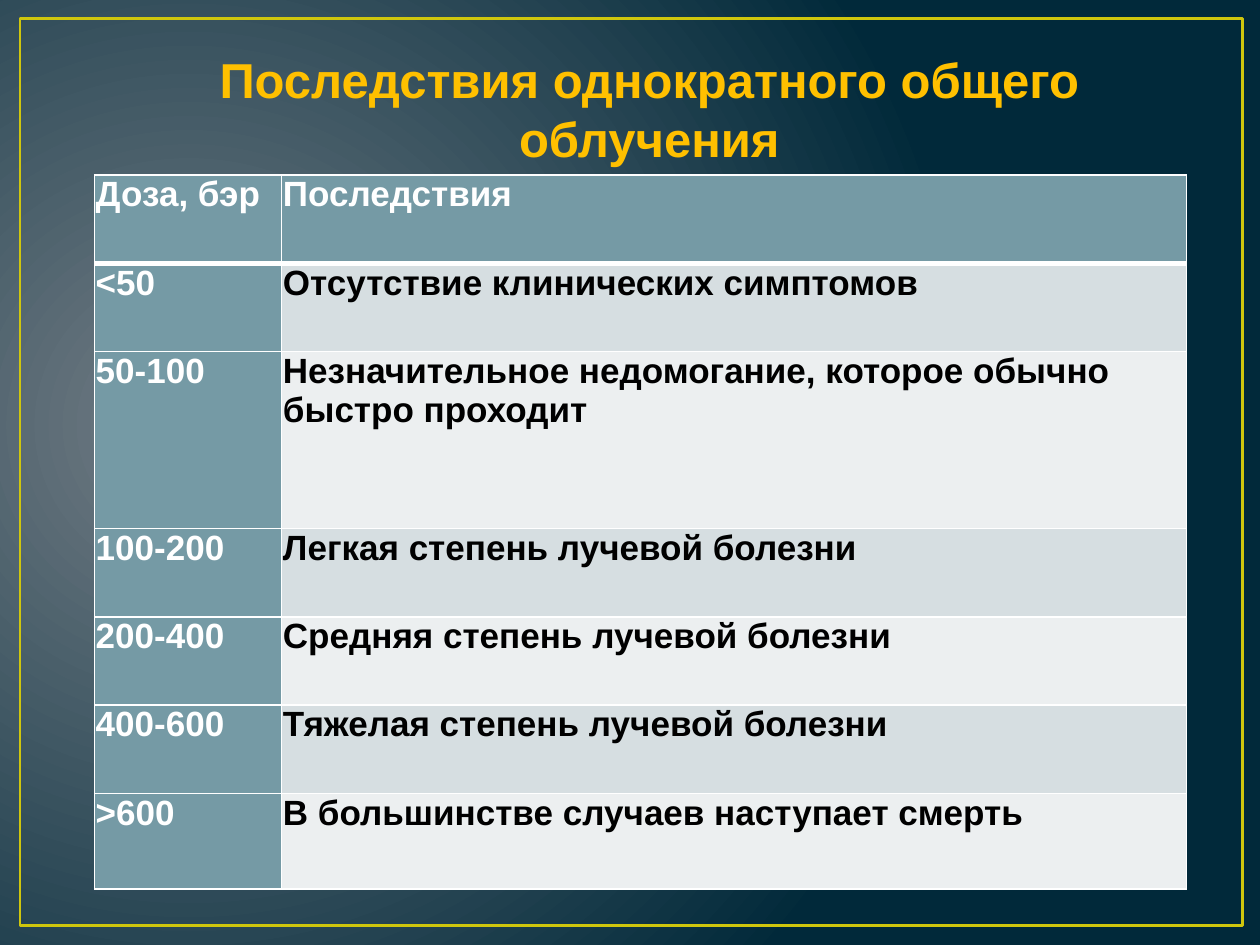
from lxml import etree
from pptx import Presentation
from pptx.dml.color import RGBColor
from pptx.enum.shapes import MSO_SHAPE
from pptx.enum.text import MSO_ANCHOR, MSO_AUTO_SIZE, PP_ALIGN
from pptx.oxml.ns import qn
from pptx.util import Pt

RECTANGLE = MSO_SHAPE.RECTANGLE
TOP = MSO_ANCHOR.TOP
NO_AUTOFIT = MSO_AUTO_SIZE.NONE
CENTER = PP_ALIGN.CENTER
TITLE_ONLY = 5

COLORS = {
    "glow": "717C84",
    "night": "01293A",
    "frame": "CFC60D",
    "title": "FFC000",
    "header": "759AA5",
    "odd_row": "D6DEE1",
    "even_row": "ECEFF0",
    "light": "FFFFFF",
    "dark": "000000",
}

DOSE_EFFECTS = [
    ("Доза, бэр", "Последствия"),
    ("<50", "Отсутствие клинических симптомов"),
    ("50-100", "Незначительное недомогание, которое обычно быстро проходит"),
    ("100-200", "Легкая степень лучевой болезни"),
    ("200-400", "Средняя степень лучевой болезни"),
    ("400-600", "Тяжелая степень лучевой болезни"),
    (">600", "В большинстве случаев наступает смерть"),
]
COLUMN_WIDTHS = [107, 517]
ROW_HEIGHTS = [50.5, 50.5, 101, 50.5, 50.5, 50.5, 54.5]


def rgb(name):
    return RGBColor.from_string(COLORS[name])


class SlideBuilder:
    def __init__(self, slide, font="Arial"):
        self.slide = slide
        self.font = font

    def style(self, para, size, color):
        para.font.name = self.font
        para.font.size = Pt(size)
        para.font.bold = True
        para.font.color.rgb = rgb(color)

    def background(self, inner, outer, focus):
        """Radial gradient; focus gives the l, t, r, b insets in percent."""
        fill = self.slide.background.fill
        fill.gradient()
        for stop, color, position in zip(fill.gradient_stops, (inner, outer), (0, 1)):
            stop.color.rgb = rgb(color)
            stop.position = position
        gradient = self.slide.element.find(".//" + qn("a:gradFill"))
        gradient.remove(gradient.find(qn("a:lin")))
        path = etree.SubElement(gradient, qn("a:path"), {"path": "circle"})
        insets = {side: str(value * 1000) for side, value in zip("ltrb", focus)}
        etree.SubElement(path, qn("a:fillToRect"), insets)

    def frame(self, left, top, width, height):
        box = self.slide.shapes.add_shape(
            RECTANGLE, Pt(left), Pt(top), Pt(width), Pt(height))
        box.shadow.inherit = False
        box.fill.background()
        box.line.color.rgb = rgb("frame")
        box.line.width = Pt(1.5)

    def title(self, text, left, top, width, height):
        box = self.slide.shapes.title
        box.left, box.top = Pt(left), Pt(top)
        box.width, box.height = Pt(width), Pt(height)
        text_frame = box.text_frame
        text_frame.text = text
        text_frame.word_wrap = True
        text_frame.auto_size = NO_AUTOFIT
        text_frame.vertical_anchor = TOP
        para = text_frame.paragraphs[0]
        para.alignment = CENTER
        self.style(para, 28, "title")

    def borders(self, cell, widths):
        """White cell borders; widths are left, right, top, bottom."""
        properties = cell._tc.get_or_add_tcPr()
        for side, width in zip("LRTB", widths):
            line = etree.SubElement(properties, qn(f"a:ln{side}"), {"w": str(Pt(width))})
            fill = etree.SubElement(line, qn("a:solidFill"))
            etree.SubElement(fill, qn("a:srgbClr"), {"val": COLORS["light"]})

    def cell(self, cell, text, fill, color, border_widths):
        self.borders(cell, border_widths)
        cell.fill.solid()
        cell.fill.fore_color.rgb = rgb(fill)
        cell.margin_left = cell.margin_right = Pt(0.72)
        cell.margin_top = cell.margin_bottom = Pt(0)
        cell.vertical_anchor = TOP
        cell.text = text
        self.style(cell.text_frame.paragraphs[0], 20, color)

    def table(self, rows, left, top, column_widths, row_heights):
        table = self.slide.shapes.add_table(
            len(rows), len(column_widths), Pt(left), Pt(top),
            Pt(sum(column_widths)), Pt(sum(row_heights))).table
        for column, width in zip(table.columns, column_widths):
            column.width = Pt(width)
        for row, height in zip(table.rows, row_heights):
            row.height = Pt(height)
        for r, texts in enumerate(rows):
            border_widths = (1, 1, 3 if r == 1 else 1, 3 if r == 0 else 1)
            for c, text in enumerate(texts):
                if r == 0 or c == 0:
                    fill, color = "header", "light"
                else:
                    fill, color = ("odd_row" if r % 2 else "even_row"), "dark"
                self.cell(table.cell(r, c), text, fill, color, border_widths)


def main():
    deck = Presentation()
    deck.slide_width, deck.slide_height = Pt(720), Pt(540)
    page = SlideBuilder(deck.slides.add_slide(deck.slide_layouts[TITLE_ONLY]))
    page.background("glow", "night", (15, 50, 85, 60))
    page.frame(11.5, 10.5, 698.5, 518.5)
    page.table(DOSE_EFFECTS, 54, 100, COLUMN_WIDTHS, ROW_HEIGHTS)
    page.title("Последствия однократного общего облучения", 70.5, 24.5, 601, 75)
    deck.save("out.pptx")


if __name__ == "__main__":
    main()
